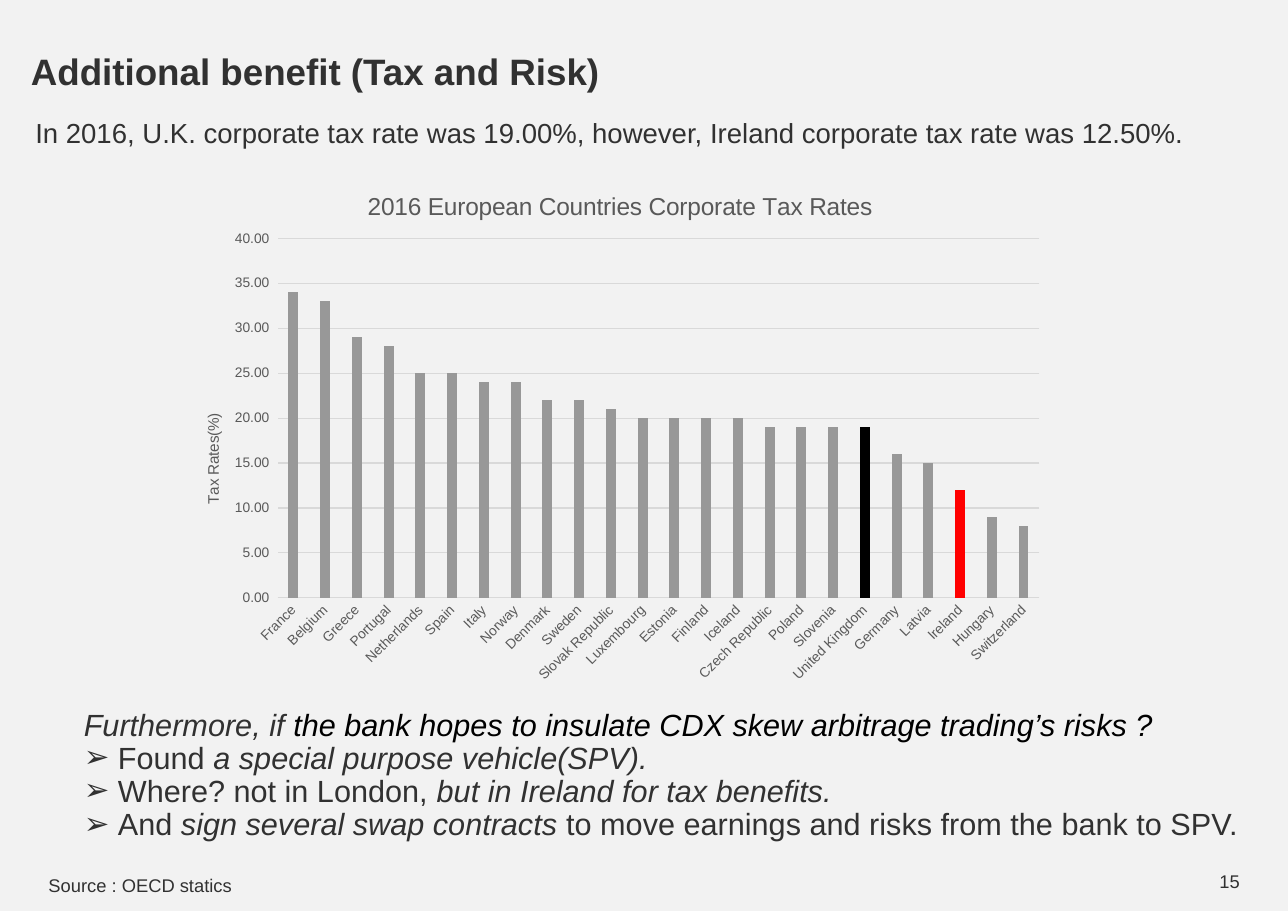
from lxml.etree import SubElement
from pptx import Presentation
from pptx.chart.data import CategoryChartData
from pptx.dml.color import RGBColor
from pptx.enum.chart import XL_CHART_TYPE, XL_TICK_MARK
from pptx.enum.text import MSO_ANCHOR, MSO_AUTO_SIZE, PP_ALIGN
from pptx.oxml.ns import qn
from pptx.util import Inches, Pt

COLORS = {
    "background": "F2F2F2", "text": "313131", "emphasis": "000000",
    "label": "595959", "grid": "D9D9D9", "bar": "989898",
    "United Kingdom": "000000", "Ireland": "FF0000",
}
TAX_RATES = {
    "France": 34, "Belgium": 33, "Greece": 29, "Portugal": 28,
    "Netherlands": 25, "Spain": 25, "Italy": 24, "Norway": 24,
    "Denmark": 22, "Sweden": 22, "Slovak Republic": 21, "Luxembourg": 20,
    "Estonia": 20, "Finland": 20, "Iceland": 20, "Czech Republic": 19,
    "Poland": 19, "Slovenia": 19, "United Kingdom": 19, "Germany": 16,
    "Latvia": 15, "Ireland": 12, "Hungary": 9, "Switzerland": 8,
}


def style_font(font, size, color):
    font.name = "Arial"
    font.size = Pt(size)
    font.color.rgb = RGBColor.from_string(COLORS[color])


def set_layout(parent, index, **settings):
    for old_layout in parent.findall(qn("c:layout")):
        parent.remove(old_layout)
    layout = SubElement(parent, qn("c:layout"))
    parent.insert(index, layout)
    manual = SubElement(layout, qn("c:manualLayout"))
    for tag, value in settings.items():
        SubElement(manual, qn(f"c:{tag}")).set("val", str(value))


prs = Presentation()
prs.slide_width, prs.slide_height = Inches(11.69), Inches(8.27)
slide = prs.slides.add_slide(prs.slide_layouts[1])
slide.background.fill.solid()
slide.background.fill.fore_color.rgb = RGBColor.from_string(COLORS["background"])

heading = slide.shapes.title
heading.left, heading.top = Inches(0.28), Inches(0.38)
heading.width, heading.height = Inches(10.8), Inches(0.49)
frame = heading.text_frame
frame.margin_left = frame.margin_right = frame.margin_top = frame.margin_bottom = 0
frame.auto_size = MSO_AUTO_SIZE.NONE
frame.text = "Additional benefit (Tax and Risk)"
frame.paragraphs[0].alignment = PP_ALIGN.LEFT
frame.paragraphs[0].line_spacing = 1.1
style_font(frame.paragraphs[0].font, 24, "text")
frame.paragraphs[0].font.bold = True

NOTES = [
    ("In 2016, U.K. corporate tax rate was 19.00%, however, "
     "Ireland corporate tax rate was 12.50%.", 0.28, 1.04, 10.88, 0.35, 18),
    ("Source : OECD statics", 0.4, 7.83, 4.07, 0.32, 12),
]
for wording, left, top, width, height, size in NOTES:
    note = slide.shapes.add_textbox(Inches(left), Inches(top), Inches(width), Inches(height))
    frame = note.text_frame
    frame.word_wrap = True
    frame.margin_left = frame.margin_right = Inches(0.04)
    frame.margin_top = frame.margin_bottom = Inches(0.04)
    frame.text = wording
    frame.paragraphs[0].line_spacing = Pt(19.4)
    style_font(frame.paragraphs[0].font, size, "text")

page_number = slide.shapes.add_textbox(Inches(10.97), Inches(7.85), Inches(0.63), Inches(0.3))
page_number.text_frame.word_wrap = True
page_number.text_frame.vertical_anchor = MSO_ANCHOR.MIDDLE
page_number.text_frame.text = "15"
style_font(page_number.text_frame.paragraphs[0].font, 12, "text")

ADVICE = [
    [("Furthermore, if ", True, "text"),
     ("the bank hopes to insulate CDX skew arbitrage trading’s risks ?", True, "emphasis")],
    [("Found ", False, "text"), ("a special purpose vehicle(SPV).", True, "text")],
    [("Where? not in London, ", False, "text"),
     ("but in Ireland for tax benefits.", True, "text")],
    [("And ", False, "text"), ("sign several swap contracts ", True, "text"),
     ("to move earnings and risks from the bank to SPV.", False, "text")],
]
advice = slide.placeholders[1]
advice.left, advice.top = Inches(0.72), Inches(6.43)
advice.width, advice.height = Inches(10.88), Inches(1.23)
frame = advice.text_frame
frame.word_wrap = True
frame.auto_size = MSO_AUTO_SIZE.NONE
frame.margin_left = frame.margin_right = Inches(0.04)
frame.margin_top = frame.margin_bottom = Inches(0.04)
for number, parts in enumerate(ADVICE):
    line = frame.add_paragraph() if number else frame.paragraphs[0]
    line.line_spacing = Pt(19.4)
    line.space_before = Pt(2.3 if number else 0)
    properties = line._p.get_or_add_pPr()
    indent = Inches(0.31) if number else 0
    properties.set("marL", str(indent))
    properties.set("indent", str(-indent))
    if number:
        bullet_color = SubElement(properties, qn("a:buClr"))
        SubElement(bullet_color, qn("a:srgbClr")).set("val", COLORS["text"])
        SubElement(properties, qn("a:buFont")).set("typeface", "Arial")
        SubElement(properties, qn("a:buChar")).set("char", "➢")
    else:
        SubElement(properties, qn("a:buNone"))
    style_font(line.font, 20, "text")
    for wording, italic, color in parts:
        run = line.add_run()
        run.text = wording
        style_font(run.font, 20, color)
        run.font.italic = italic

rates = CategoryChartData()
rates.categories = list(TAX_RATES)
rates.add_series("Tax Rates(%)", list(TAX_RATES.values()))
chart = slide.shapes.add_chart(
    XL_CHART_TYPE.COLUMN_CLUSTERED,
    Inches(1.82), Inches(1.55), Inches(7.77), Inches(4.73), rates,
).chart
style_font(chart.font, 10, "label")
chart.has_legend = False

countries, percent = chart.category_axis, chart.value_axis
for owner, wording, size in (
    (chart.chart_title, "2016 European Countries Corporate Tax Rates", 16),
    (percent.axis_title, "Tax Rates(%)", 10),
):
    owner.text_frame.text = wording
    caption = owner.text_frame.paragraphs[0]
    style_font(caption.font, size, "label")
    caption.font.bold = False

for axis in (countries, percent):
    axis.major_tick_mark = axis.minor_tick_mark = XL_TICK_MARK.NONE
    style_font(axis.tick_labels.font, 9, "label")
percent.minimum_scale, percent.maximum_scale, percent.major_unit = 0, 40, 5
percent.tick_labels.number_format = r"#,##0.00_ ;\-#,##0.00\ "
percent.tick_labels.number_format_is_linked = False
percent.format.line.fill.background()
for rule in (countries.format.line, percent.major_gridlines.format.line):
    rule.color.rgb = RGBColor.from_string(COLORS["grid"])
    rule.width = Pt(0.75)

columns = chart.plots[0]
columns.gap_width, columns.overlap = 219, -27
columns.vary_by_categories = False
bars = columns.series[0]
bars.invert_if_negative = False
bars.format.fill.solid()
bars.format.fill.fore_color.rgb = RGBColor.from_string(COLORS["bar"])
for position, country in enumerate(TAX_RATES):
    if country in COLORS:
        highlight = bars.points[position].format.fill
        highlight.solid()
        highlight.fore_color.rgb = RGBColor.from_string(COLORS[country])

chart_xml = chart.element
chart_xml.xpath(".//c:catAx/c:txPr/a:bodyPr")[0].set("rot", "-2700000")
axis_body = chart_xml.xpath(".//c:valAx/c:title//a:bodyPr")[0]
axis_body.set("rot", "-5400000")
axis_body.set("vert", "horz")
set_layout(chart_xml.xpath("./c:chart/c:title")[0], 1,
           xMode="edge", yMode="edge", x=0.19, y=0.03)
set_layout(chart_xml.xpath(".//c:valAx/c:title")[0], 1,
           xMode="edge", yMode="edge", x=0, y=0.46)
set_layout(chart_xml.xpath(".//c:plotArea")[0], 0, layoutTarget="inner",
           xMode="edge", yMode="edge", x=0.09, y=0.13, w=0.89, h=0.69)

prs.save("out.pptx")
